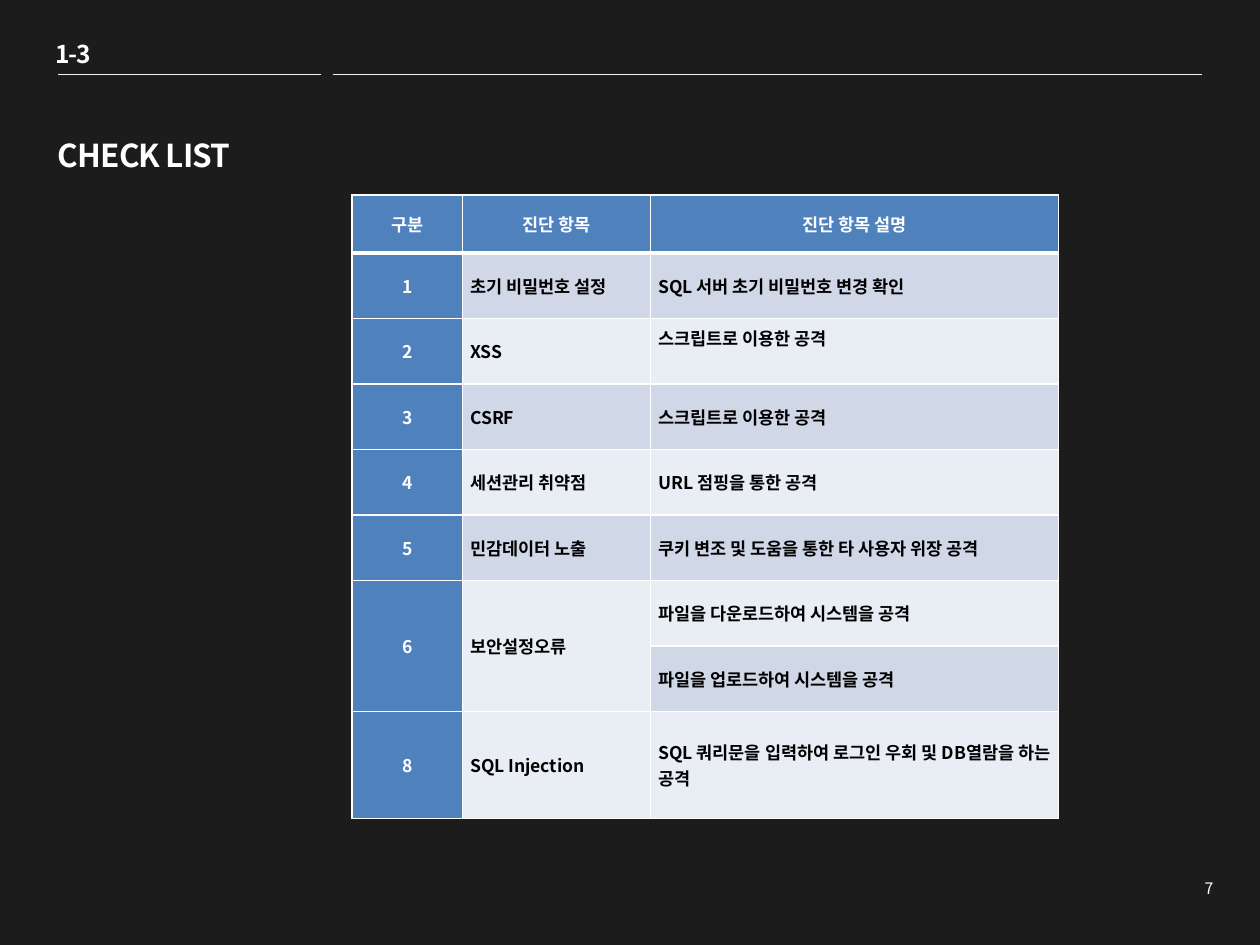
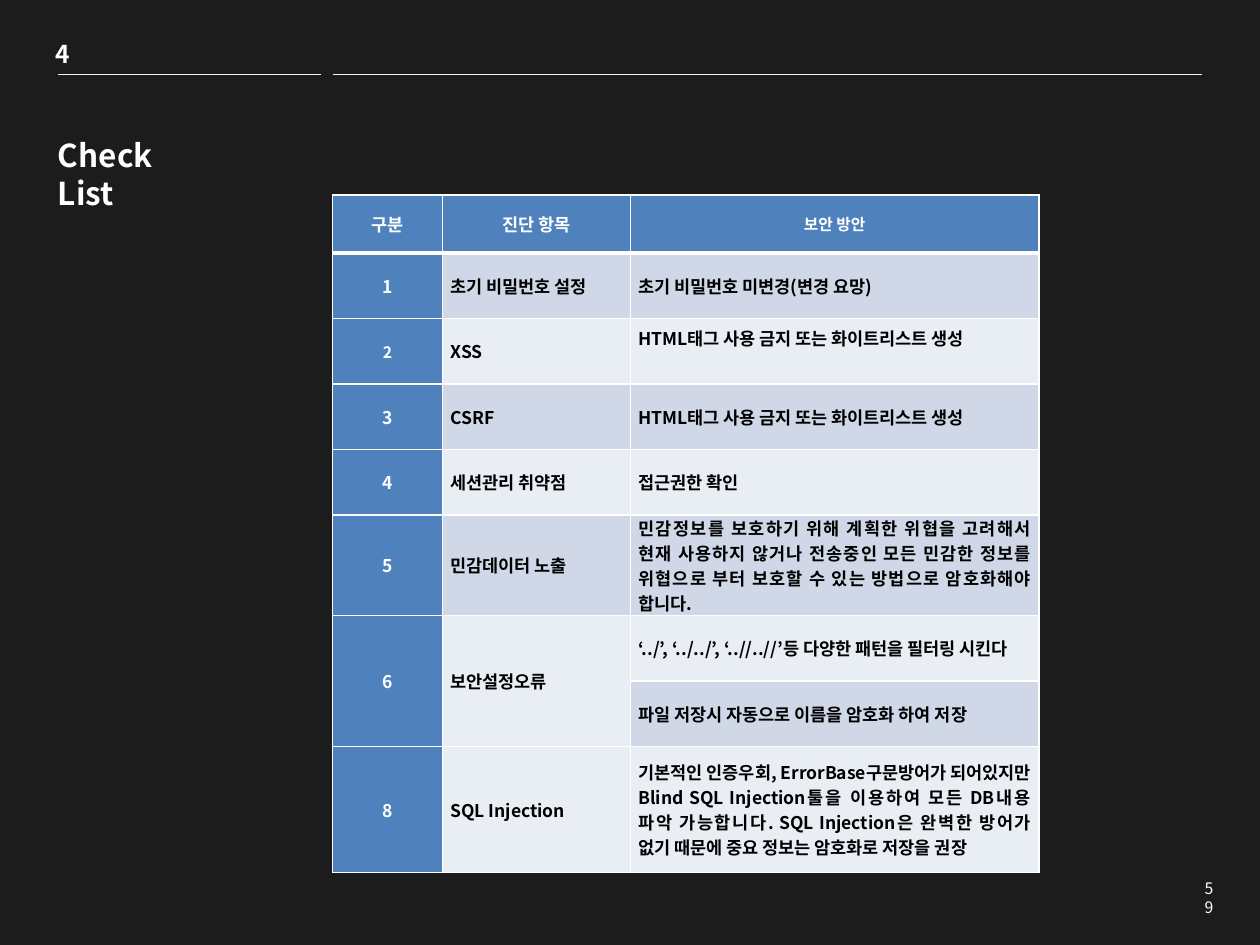
import pptx
import pptx.util
import pptx.dml.color
import pptx.enum.shapes
import pptx.enum.text
import pptx.oxml.ns
from lxml import etree

Cm = pptx.util.Cm
Pt = pptx.util.Pt
RGBColor = pptx.dml.color.RGBColor
ALIGN = pptx.enum.text.PP_ALIGN
MIDDLE = pptx.enum.text.MSO_ANCHOR.MIDDLE
qn = pptx.oxml.ns.qn

# Shared look
FONT = "Noto Sans CJK KR"
BACKGROUND = RGBColor(0x1C, 0x1C, 0x1C)
WHITE = RGBColor(0xFF, 0xFF, 0xFF)
BLACK = RGBColor(0x00, 0x00, 0x00)
RULE = RGBColor(0xF2, 0xF2, 0xF2)
HEADER_BLUE = RGBColor(0x4F, 0x81, 0xBD)
BANDS = [RGBColor(0xE9, 0xED, 0xF4), RGBColor(0xD0, 0xD8, 0xE8)]

SECTION_STYLE = {"size": Pt(14), "bold": True}
TITLE_STYLE = {"size": Pt(18), "bold": True}
PAGE_STYLE = {"size": Pt(9), "bold": False}
CELL_STYLE = {"size": Pt(10), "bold": True}
SMALL_CELL_STYLE = {"size": Pt(9), "bold": True}

# Table layout: the long measures need taller rows
COLUMN_WIDTHS = [2.22, 3.79, 8.23]
HEADER_HEIGHT, ROW_HEIGHT = 1.17, 1.32
DESCRIPTION_HEIGHTS = {8: 2.16}
MEASURE_HEIGHTS = {5: 2.03, 8: 2.54}
MERGED_ROWS = (6, 7)
RAISED_CELL = (2, 2)

# Table content
NUMBERS = ["1", "2", "3", "4", "5", "6", "", "8"]
ITEMS = ["초기 비밀번호 설정", "XSS", "CSRF", "세션관리 취약점",
         "민감데이터 노출", "보안설정오류", "", "SQL Injection"]
DESCRIPTIONS = [
    "SQL 서버 초기 비밀번호 변경 확인",
    "스크립트로 이용한 공격",
    "스크립트로 이용한 공격",
    "URL 점핑을 통한 공격",
    "쿠키 변조 및 도움을 통한 타 사용자 위장 공격",
    "파일을 다운로드하여 시스템을 공격",
    "파일을 업로드하여 시스템을 공격",
    "SQL 쿼리문을 입력하여 로그인 우회 및 DB열람을 하는 공격",
]
MEASURES = [
    "초기 비밀번호 미변경(변경 요망)",
    "HTML태그 사용 금지 또는 화이트리스트 생성",
    "HTML태그 사용 금지 또는 화이트리스트 생성",
    "접근권한 확인",
    "민감정보를 보호하기 위해 계획한 위협을 고려해서 현재 사용하지 않거나 "
    "전송중인 모든 민감한 정보를 위협으로 부터 보호할 수 있는 방법으로 암호화해야 합니다.",
    "‘../’, ‘../../’, ‘..//..//’등 다양한 패턴을 필터링 시킨다",
    "파일 저장시 자동으로 이름을 암호화 하여 저장",
    "기본적인 인증우회, ErrorBase구문방어가 되어있지만 Blind SQL Injection툴을 "
    "이용하여 모든 DB내용 파악 가능합니다. SQL Injection은 완벽한 방어가 없기 때문에 "
    "중요 정보는 암호화로 저장을 권장",
]


def write_text(paragraph, text, style, color, alignment, spacing=0):
    """Write one run in the shared font; spacing is in hundredths of a point."""
    paragraph.alignment = alignment
    run = paragraph.add_run()
    run.text = text
    for name, value in {"name": FONT, **style}.items():
        setattr(run.font, name, value)
    run.font.color.rgb = color
    properties = run.font._element
    etree.SubElement(properties, qn("a:ea")).set("typeface", FONT)
    if spacing:
        properties.set("spc", str(spacing))


def add_label(slide, box, text, style, alignment=ALIGN.LEFT, spacing=0, wrap=True):
    shape = slide.shapes.add_textbox(*[Cm(length) for length in box])
    shape.text_frame.word_wrap = wrap
    write_text(shape.text_frame.paragraphs[0], text, style, WHITE, alignment, spacing)


def add_rule(slide, left, right):
    line = slide.shapes.add_connector(
        pptx.enum.shapes.MSO_CONNECTOR.STRAIGHT, Cm(left), Cm(1.5), Cm(right), Cm(1.5))
    line.line.color.rgb = RULE
    line.line.width = Pt(0.25)
    etree.SubElement(line._element.spPr, qn("a:effectLst"))


def set_borders(cell, row):
    """Draw white borders, thicker between the header and the body."""
    widths = {"a:lnL": 1, "a:lnR": 1,
              "a:lnT": 3 if row == 1 else 1, "a:lnB": 3 if row == 0 else 1}
    properties = cell._tc.get_or_add_tcPr()
    for tag, width in widths.items():
        line = etree.SubElement(properties, qn(tag), w=str(Pt(width)))
        fill = etree.SubElement(line, qn("a:solidFill"))
        etree.SubElement(fill, qn("a:srgbClr"), val=str(WHITE))


def format_cell(cell, row, column, text, style):
    is_heading = row == 0 or column == 0
    set_borders(cell, row)
    cell.fill.solid()
    cell.fill.fore_color.rgb = HEADER_BLUE if is_heading else BANDS[row % 2]
    raised = (row, column) == RAISED_CELL
    margins = {"margin_left": Cm(0.16), "margin_right": Cm(0.16), "margin_top": 0,
               "margin_bottom": Cm(0.52) if raised else 0, "vertical_anchor": MIDDLE}
    for name, value in margins.items():
        setattr(cell, name, value)
    if text:
        write_text(cell.text_frame.paragraphs[0], text, style,
                   WHITE if is_heading else BLACK,
                   ALIGN.CENTER if is_heading else ALIGN.JUSTIFY)


def add_checklist(slide, left, heading, details, tall_rows, small_cells=()):
    rows = [("구분", "진단 항목", heading), *zip(NUMBERS, ITEMS, details)]
    heights = [tall_rows.get(row, ROW_HEIGHT) for row in range(len(rows))]
    heights[0] = HEADER_HEIGHT
    table = slide.shapes.add_table(
        len(rows), len(COLUMN_WIDTHS), Cm(left), Cm(3.93),
        Cm(sum(COLUMN_WIDTHS)), Cm(sum(heights))).table
    for column, width in zip(table.columns, COLUMN_WIDTHS):
        column.width = Cm(width)
    for row, height in zip(table.rows, heights):
        row.height = Cm(height)
    for row, texts in enumerate(rows):
        for column, text in enumerate(texts):
            style = SMALL_CELL_STYLE if (row, column) in small_cells else CELL_STYLE
            format_cell(table.cell(row, column), row, column, text, style)
    first, last = MERGED_ROWS
    for column in (0, 1):
        table.cell(first, column).merge(table.cell(last, column))


def add_base_slide(presentation, section, page):
    """Add a dark slide with section number, header rules and page number."""
    slide = presentation.slides.add_slide(presentation.slide_layouts[6])
    slide.background.fill.solid()
    slide.background.fill.fore_color.rgb = BACKGROUND
    add_label(slide, (0.86, 0.66, 1.24, 0.86), section, SECTION_STYLE,
              spacing=-50, wrap=False)
    add_rule(slide, 1.17, 6.48)
    add_rule(slide, 6.71, 24.23)
    add_label(slide, (24, 17.6, 0.71, 0.64), page, PAGE_STYLE, ALIGN.RIGHT)
    return slide


def main():
    presentation = pptx.Presentation()
    presentation.slide_width = Cm(25.4)
    presentation.slide_height = Cm(19.05)

    # Diagnosis items and what they mean
    slide = add_base_slide(presentation, "1-3", "7")
    add_label(slide, (0.92, 2.62, 4.17, 1.68), "CHECK LIST", TITLE_STYLE, spacing=-50)
    add_checklist(slide, 7.1, "진단 항목 설명", DESCRIPTIONS, DESCRIPTION_HEIGHTS)

    # Diagnosis items and their security measures
    slide = add_base_slide(presentation, "4", "59")
    add_label(slide, (0.92, 2.62, 3.58, 1.68), "Check List", TITLE_STYLE)
    add_checklist(slide, 6.7, "보안 방안", MEASURES, MEASURE_HEIGHTS,
                  small_cells={(0, 2), (2, 0)})

    presentation.save("out.pptx")


if __name__ == "__main__":
    main()
